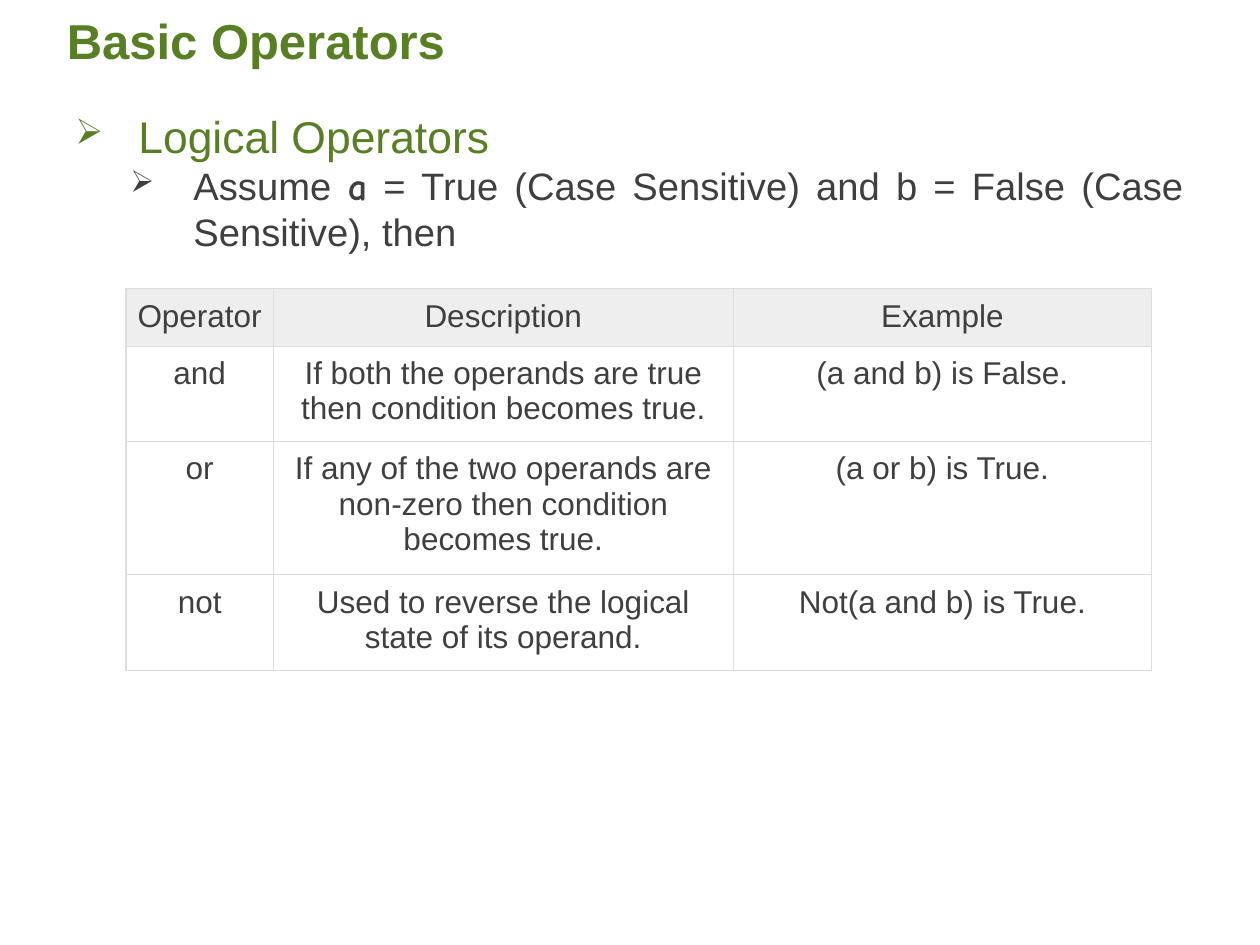
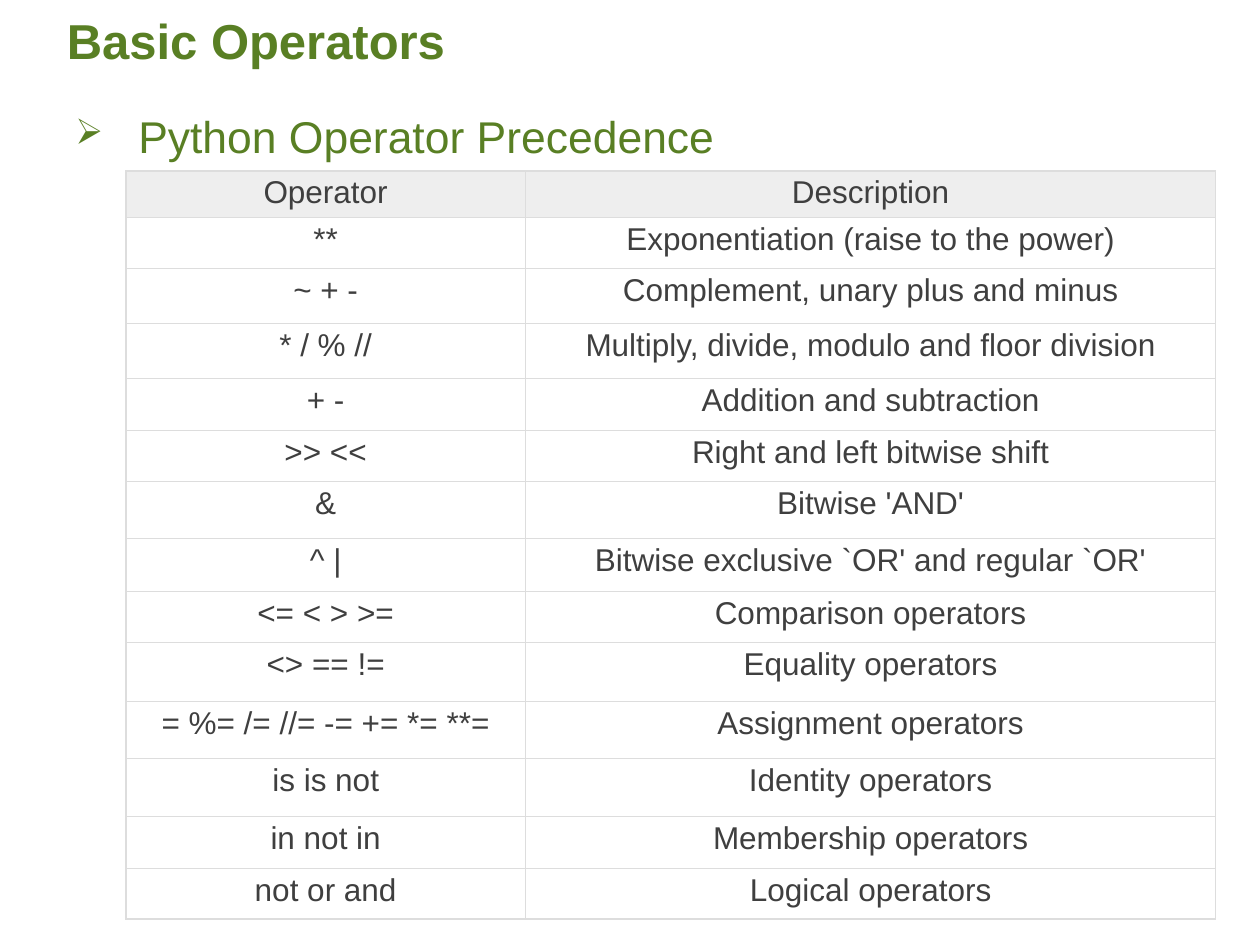
"""Build two slides on Python's logical operators and operator precedence."""
from lxml.etree import SubElement
from pptx import Presentation
from pptx.dml.color import RGBColor
from pptx.enum.text import MSO_ANCHOR, PP_ALIGN
from pptx.oxml.ns import qn
from pptx.util import Pt

GREEN = RGBColor(0x59, 0x7F, 0x24)
DARK = RGBColor(0x3F, 0x3F, 0x3F)
HEADER = RGBColor(0xEE, 0xEE, 0xEE)
BORDER = RGBColor(0xDD, 0xDD, 0xDD)
FONT = "Arial"

HEADING_LEVEL = dict(indent=36, size=25.4, color=GREEN)
DETAIL_LEVEL = dict(indent=67.5, size=21.8, color=DARK)

SLIDES = [
    dict(
        title="Basic Operators",
        heading="Logical Operators",
        detail=[
            ("Assume ", {}),
            ("a", dict(font="Comic Neue", bold=True)),
            (" = True (Case Sensitive) and b = False (Case Sensitive), then", {}),
        ],
        rows=[
            ("Operator", "Description", "Example"),
            ("and", "If both the operands are true then condition becomes true.",
             "(a and b) is False."),
            ("or", "If any of the two operands are non-zero then condition becomes true.",
             "(a or b) is True."),
            ("not", "Used to reverse the logical state of its operand.",
             "Not(a and b) is True."),
        ],
        top=164.9, inset=5.65,
        widths=[84.2, 262.8, 239],
        heights=[31.4, 50.9, 71.4, 50.9],
    ),
    dict(
        title="Basic Operators",
        heading="Python Operator Precedence",
        detail=[],
        rows=[
            ("Operator", "Description"),
            ("**", "Exponentiation (raise to the power)"),
            ("~ + -", "Complement, unary plus and minus"),
            ("* / % //", "Multiply, divide, modulo and floor division"),
            ("+ -", "Addition and subtraction"),
            (">> <<", "Right and left bitwise shift"),
            ("&", "Bitwise 'AND'"),
            ("^ |", "Bitwise exclusive `OR' and regular `OR'"),
            ("<= < > >=", "Comparison operators"),
            ("<> == !=", "Equality operators"),
            ("= %= /= //= -= += *= **=", "Assignment operators"),
            ("is is not", "Identity operators"),
            ("in not in", "Membership operators"),
            ("not or and", "Logical operators"),
        ],
        top=97.7, inset=2.55,
        widths=[228.2, 394.6],
        heights=[25.2, 29.1, 31.5, 31.5, 29.5, 29.4, 32.4,
                 30.2, 29.4, 33.7, 32.5, 33.1, 29.6, 29],
    ),
]


def write(p, text, size=18, color=DARK, font=FONT, bold=False):
    """Append a formatted run to a paragraph."""
    r = p.add_run()
    r.text = text
    r.font.size = Pt(size)
    r.font.color.rgb = color
    r.font.name = font
    r.font.bold = bold


def place(sp, left, top, width, height):
    """Set the position and size of a shape in points."""
    sp.left, sp.top, sp.width, sp.height = map(Pt, (left, top, width, height))


def add_title(s, text):
    """Format the title placeholder and fill it."""
    sp = s.shapes.title
    place(sp, 31, 7.9, 648, 36)
    tf = sp.text_frame
    tf.word_wrap = True
    tf.vertical_anchor = MSO_ANCHOR.BOTTOM
    tf.margin_left = tf.margin_right = Pt(7.2)
    tf.margin_top, tf.margin_bottom = Pt(2.9), Pt(3.6)
    p = tf.paragraphs[0]
    p.alignment = PP_ALIGN.LEFT
    p.line_spacing = 0.9
    write(p, text, size=28, color=GREEN, bold=True)


def add_bullet(p, runs, indent, size, color):
    """Turn a paragraph into a justified arrow bullet."""
    p.alignment = PP_ALIGN.JUSTIFY
    pPr = p._p.get_or_add_pPr()
    pPr.set("marL", str(Pt(indent)))
    pPr.set("indent", str(-Pt(36)))
    SubElement(pPr, qn("a:buSzPct"), val="80000")
    SubElement(pPr, qn("a:buChar"), char="➢")
    for text, style in runs:
        write(p, text, size=size, color=color, **style)


def add_body(s, heading, detail):
    """Add the heading bullet and, if any, the detail bullet below it."""
    tf = s.shapes.add_textbox(Pt(36), Pt(59), Pt(648), Pt(473)).text_frame
    tf.word_wrap = True
    add_bullet(tf.paragraphs[0], [(heading, {})], **HEADING_LEVEL)
    if detail:
        p = tf.add_paragraph()
        p.level = 1
        add_bullet(p, detail, **DETAIL_LEVEL)


def add_borders(cell):
    """Draw a thin line on each side of a cell."""
    tcPr = cell._tc.get_or_add_tcPr()
    for side in "LRTB":
        ln = SubElement(tcPr, qn(f"a:ln{side}"), w=str(Pt(0.75)))
        fill = SubElement(ln, qn("a:solidFill"))
        SubElement(fill, qn("a:srgbClr"), val=str(BORDER))


def add_grid(s, rows, top, inset, widths, heights):
    """Add the operator table."""
    table = s.shapes.add_table(len(rows), len(widths), Pt(72), Pt(top),
                               Pt(sum(widths)), Pt(sum(heights))).table
    table.first_row = table.horz_banding = False
    for column, width in zip(table.columns, widths):
        column.width = Pt(width)
    for i, (row, height) in enumerate(zip(rows, heights)):
        table.rows[i].height = Pt(height)
        for j, text in enumerate(row):
            cell = table.cell(i, j)
            cell.margin_left = cell.margin_right = Pt(inset)
            cell.margin_top = cell.margin_bottom = Pt(inset)
            add_borders(cell)
            if i == 0:
                cell.fill.solid()
                cell.fill.fore_color.rgb = HEADER
            else:
                cell.fill.background()
            p = cell.text_frame.paragraphs[0]
            p.alignment = PP_ALIGN.CENTER
            write(p, text)


def main():
    """Build and save the presentation."""
    prs = Presentation()
    prs.slide_width, prs.slide_height = Pt(720), Pt(540)
    for content in SLIDES:
        s = prs.slides.add_slide(prs.slide_layouts[5])
        add_title(s, content["title"])
        add_body(s, content["heading"], content["detail"])
        add_grid(s, content["rows"], content["top"], content["inset"],
                 content["widths"], content["heights"])
    prs.save("out.pptx")


if __name__ == "__main__":
    main()
